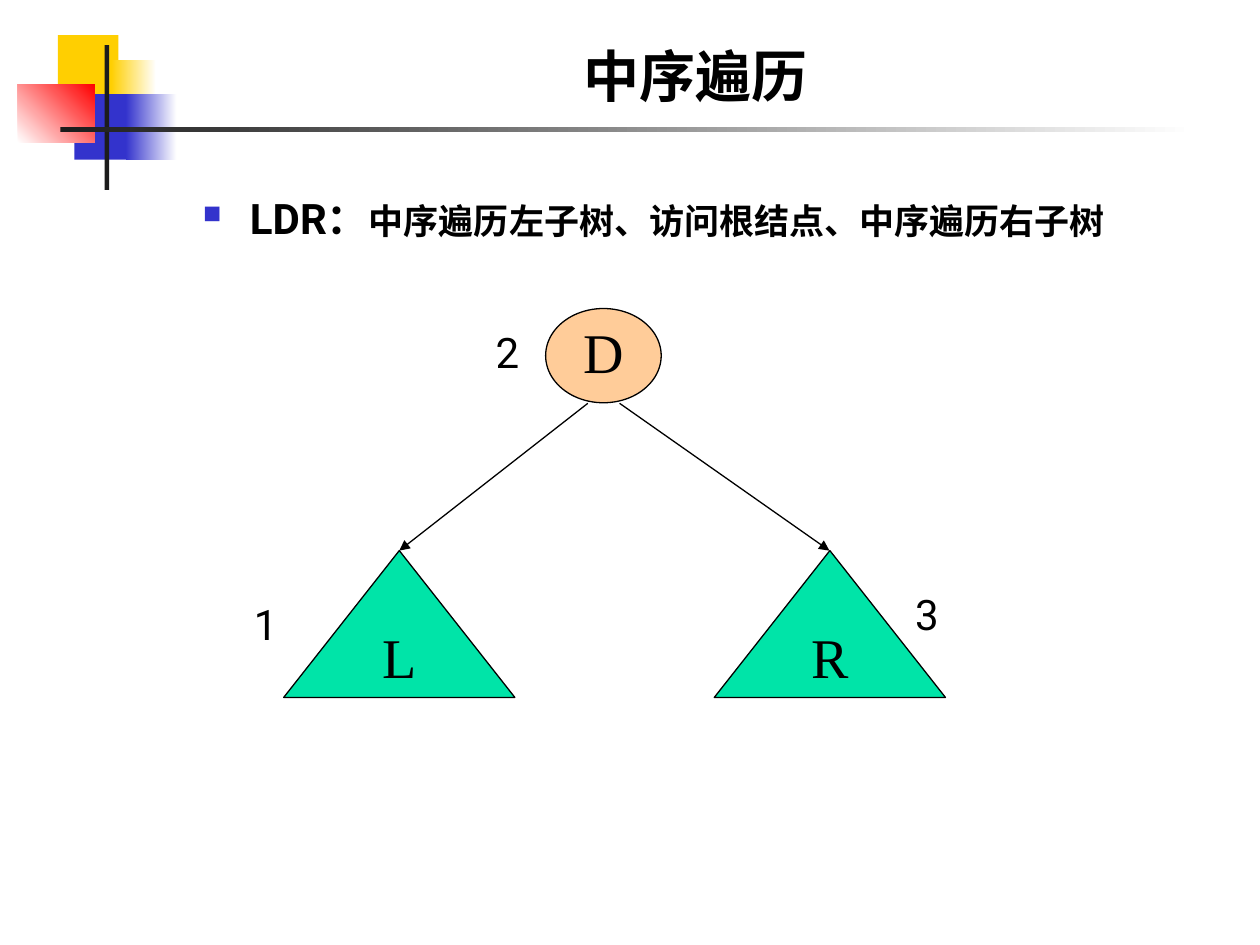
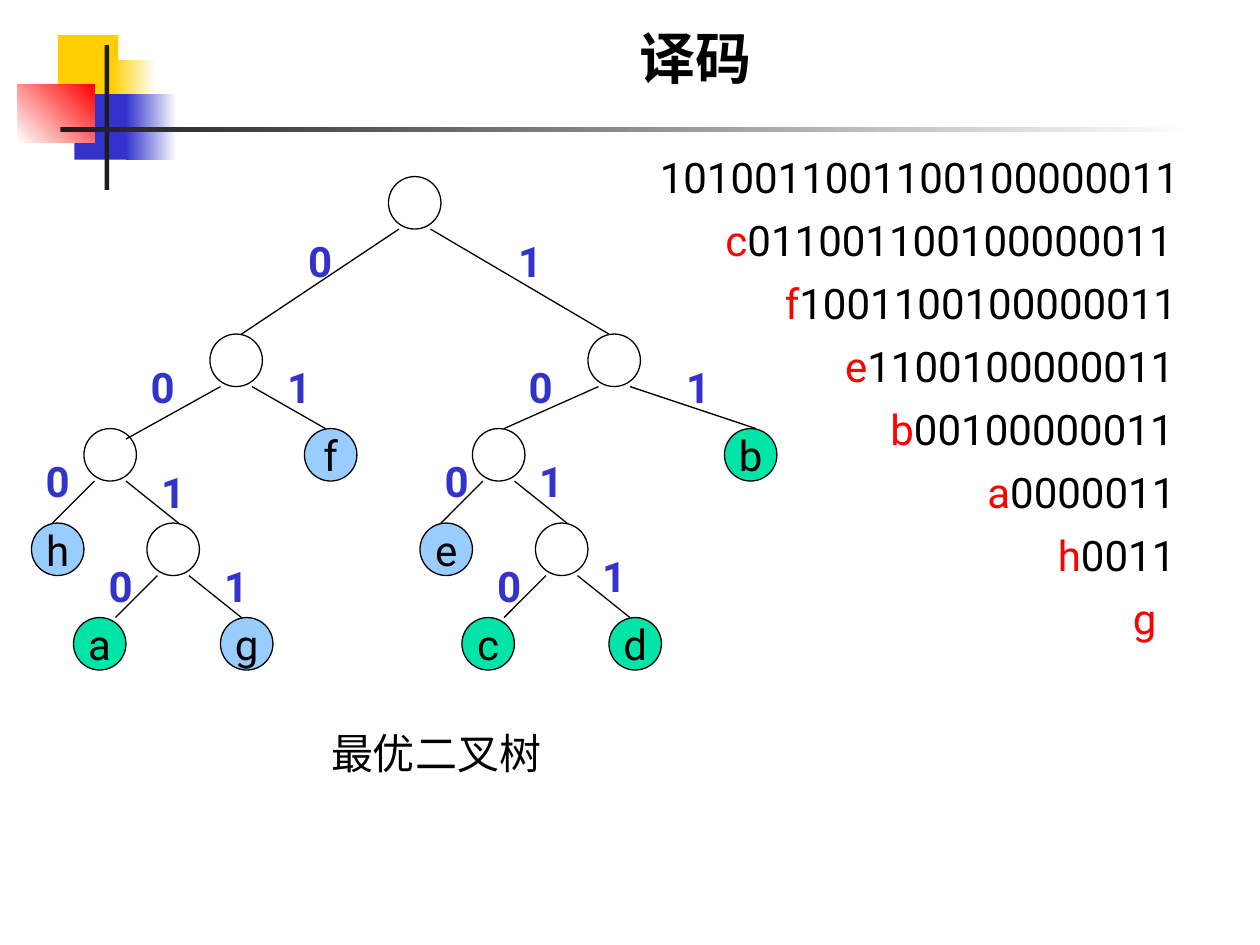
from lxml import etree
from pptx import Presentation
from pptx import util as u
from pptx.dml.color import RGBColor
from pptx.enum import lang, shapes, text
from pptx.oxml.ns import qn

HUES = {
    "black": "000000", "ink": "1C1C1C", "white": "FFFFFF", "red": "FF0000",
    "gold": "FFCF01", "blue": "3333CC", "peach": "FFCC99",
    "mint": "00E4A8", "sky": "99CCFF",
}
SANS, SERIF = "Roboto", "Times New Roman"
KIND = shapes.MSO_SHAPE
MID, LEFT = text.PP_ALIGN.CENTER, text.PP_ALIGN.LEFT
STEP = 2.54 / 12  # grid of the code tree, in cm


def put(slide, kind, box, fill=None, edge=True, fade=None, angle=0):
    """Add a shape (or a text box if kind is None) at box, given in cm."""
    spot = [u.Cm(v) for v in box]
    if kind is None:
        return slide.shapes.add_textbox(*spot)
    shape = slide.shapes.add_shape(kind, *spot)
    shape.shadow.inherit = False
    if fade:
        shape.fill.gradient()
        shape.fill.gradient_angle = angle
        for stop, hue in zip(shape.fill.gradient_stops, (fill, fade)):
            stop.color.rgb = RGBColor.from_string(HUES[hue])
    elif fill:
        shape.fill.solid()
        shape.fill.fore_color.rgb = RGBColor.from_string(HUES[fill])
    else:
        shape.fill.background()
    if edge:
        shape.line.color.rgb = RGBColor.from_string(HUES["black"])
        shape.line.width = u.Pt(0.75)
    else:
        shape.line.fill.background()
    return shape


def write(shape, runs, align=MID, anchor="TOP", wrap=True, face=SANS, bold=False):
    """Fill the first paragraph with (words, size, hue) runs and return it."""
    frame = shape.text_frame
    frame.word_wrap = wrap
    frame.vertical_anchor = text.MSO_ANCHOR[anchor]
    para = frame.paragraphs[0]
    para.alignment = align
    for words, size, hue in runs:
        run = para.add_run()
        run.text = words
        font = run.font
        font.name, font.size, font.bold = face, u.Pt(size), bold
        font.language_id = lang.MSO_LANGUAGE_ID.SIMPLIFIED_CHINESE
        font.color.rgb = RGBColor.from_string(HUES[hue])
    return para


deck = Presentation()
deck.slide_width, deck.slide_height = u.Cm(25.4), u.Cm(19.05)

# Shared corner blocks, rules and title
blocks = [
    ((1.17, 0.71, 1.22, 1.32), "gold", None, 0),
    ((2.24, 1.22, 0.91, 1.32), "gold", "white", 0),
    ((1.5, 1.9, 1.17, 1.32), "blue", None, 0),
    ((2.54, 1.9, 1.02, 1.32), "blue", "white", 0),
    ((0.36, 1.7, 1.55, 1.17), "white", "red", 45),
    ((2.11, 0.91, 0.09, 2.92), "ink", None, 0),
    ((1.22, 2.57, 22.86, 0.09), "ink", "white", 0),
]
pages = []
for title, top, high in [("中序遍历", 0.58, 1.73), ("译码", 0.81, 1.14)]:
    page = deck.slides.add_slide(deck.slide_layouts[6])
    for box, fill, fade, angle in blocks:
        put(page, KIND.RECTANGLE, box, fill, False, fade, angle)
    head = put(page, None, (3.2, top, 21.64, high))
    write(head, [(title, 32, "black")], anchor="BOTTOM", bold=True)
    pages.append(page)
walk, code = pages

# Code tree: name, parent, left, top, fill, tip dx, tip dy, bit, bit left, bit top
tree = [
    ("root", None, 37, 0, None, 0, 0, None, 0, 0),
    ("left", "root", 20, 15, None, 3, 0, "0", 28, 5),
    ("right", "root", 56, 15, None, 2, 0, "1", 48, 5),
    ("left0", "left", 8, 24, None, 4, 1, "0", 13, 17),
    ("f", "left", 29, 24, "sky", 2, 0, "1", 26, 17),
    ("right0", "right", 45, 24, None, 3, 0, "0", 49, 17),
    ("b", "right", 69, 24, "mint", 3, 0, "1", 64, 17),
    ("h", "left0", 3, 33, "sky", 2, 0, "0", 3, 26),
    ("left01", "left0", 14, 33, None, 3, 0, "1", 14, 27),
    ("e", "right0", 40, 33, "sky", 2, 0, "0", 41, 26),
    ("right01", "right0", 51, 33, None, 3, 0, "1", 50, 26),
    ("a", "left01", 7, 42, "mint", 4, 0, "0", 9, 36),
    ("g", "left01", 21, 42, "sky", 2, 0, "1", 20, 36),
    ("c", "right01", 44, 42, "mint", 4, 0, "0", 46, 36),
    ("d", "right01", 58, 42, "mint", 2, 0, "1", 56, 35),
]
base = 3.56
spots = {node[0]: node[2:4] for node in tree}

# Lines of both slides
lines = [
    (walk, 11.85, 8.13, 8.05, 11.1),
    (walk, 12.49, 8.13, 16.72, 11.1),
]
for name, up, x, y, fill, dx, dy, bit, *_ in tree:
    if up:
        px, py = spots[up]
        foot = px + (1 if bit == "0" else 4)
        lines.append((code, foot * STEP, base + (py + 5) * STEP,
                      (x + dx) * STEP, base + (y + dy) * STEP))
for page, *ends in lines:
    link = page.shapes.add_connector(shapes.MSO_CONNECTOR.STRAIGHT,
                                     *[u.Cm(v) for v in ends])
    link.line.color.rgb = RGBColor.from_string(HUES["black"])
    link.line.width = u.Pt(0.75)
    if page is walk:
        etree.SubElement(link.line._get_or_add_ln(), qn("a:tailEnd"), type="triangle")
    etree.SubElement(link.element.spPr, qn("a:effectLst"))

# Slide 1: in-order rule
rule = put(walk, None, (3.84, 3.76, 21.03, 1.57))
para = write(rule, [("LDR：", 24, "black"),
                    ("中序遍历左子树、访问根结点、中序遍历右子树", 20, "black")],
             LEFT, bold=True)
props = para._p.get_or_add_pPr()
props.set("marL", str(u.Cm(0.95)))
props.set("indent", str(-u.Cm(0.95)))
tint = etree.SubElement(props, qn("a:buClr"))
etree.SubElement(tint, qn("a:srgbClr"), val=HUES["blue"])
etree.SubElement(props, qn("a:buSzPct"), val="60000")
etree.SubElement(props, qn("a:buChar"), char="■")

# Slide 1: root and subtrees
for name, kind, box, fill in [
    ("D", KIND.OVAL, (11, 6.22, 2.33, 1.9), "peach"),
    ("L", KIND.ISOSCELES_TRIANGLE, (5.72, 11.1, 4.66, 2.96), "mint"),
    ("R", KIND.ISOSCELES_TRIANGLE, (14.4, 11.1, 4.66, 2.96), "mint"),
]:
    part = put(walk, kind, box, fill)
    para = write(part, [(name, 32, "black")], anchor="MIDDLE", wrap=False, face=SERIF)
    para.line_spacing = 0.9
for rank, x, y in [("1", 4.87, 11.94), ("2", 9.74, 6.45), ("3", 18.2, 11.73)]:
    write(put(walk, None, (x, y, 1.27, 1.27)), [(rank, 24, "black")], LEFT)

# Slide 2: nodes and bits
for name, up, x, y, fill, dx, dy, bit, bx, by in tree:
    node = put(code, KIND.OVAL, (x * STEP, base + y * STEP, 5 * STEP, 5 * STEP), fill)
    if fill:
        write(node, [(name, 24, "black")], anchor="MIDDLE", wrap=False)
    if bit:
        tag = put(code, None, (bx * STEP, base + by * STEP, 5 * STEP, 6 * STEP))
        write(tag, [(bit, 24, "blue")], bold=True)
write(put(code, None, (6.14, 14.55, 5.3, 1.27)), [("最优二叉树", 24, "black")])

# Slide 2: each row drops the bits of the letter just read
bits = "1010011001100100000011"
rows = [
    ("", 0, 12.5, 12.07), ("c", 4, 14.15, 9.96), ("f", 2, 15.54, 8.47),
    ("e", 3, 16.76, 7.19), ("b", 2, 17.53, 6.55), ("a", 4, 19.26, 5.08),
    ("h", 3, 20.5, 4.02), ("g", 4, 21.59, 2.97),
]
for i, (letter, used, x, wide) in enumerate(rows):
    bits = bits[used:]
    row = put(code, None, (x, 2.92 + 1.27 * i, wide, 1.27))
    row.text_frame.margin_left = row.text_frame.margin_right = u.Cm(0.05)
    runs = [(letter, 24, "red"), (bits, 24, "black")]
    write(row, [run for run in runs if run[0]])

deck.save("out.pptx")
